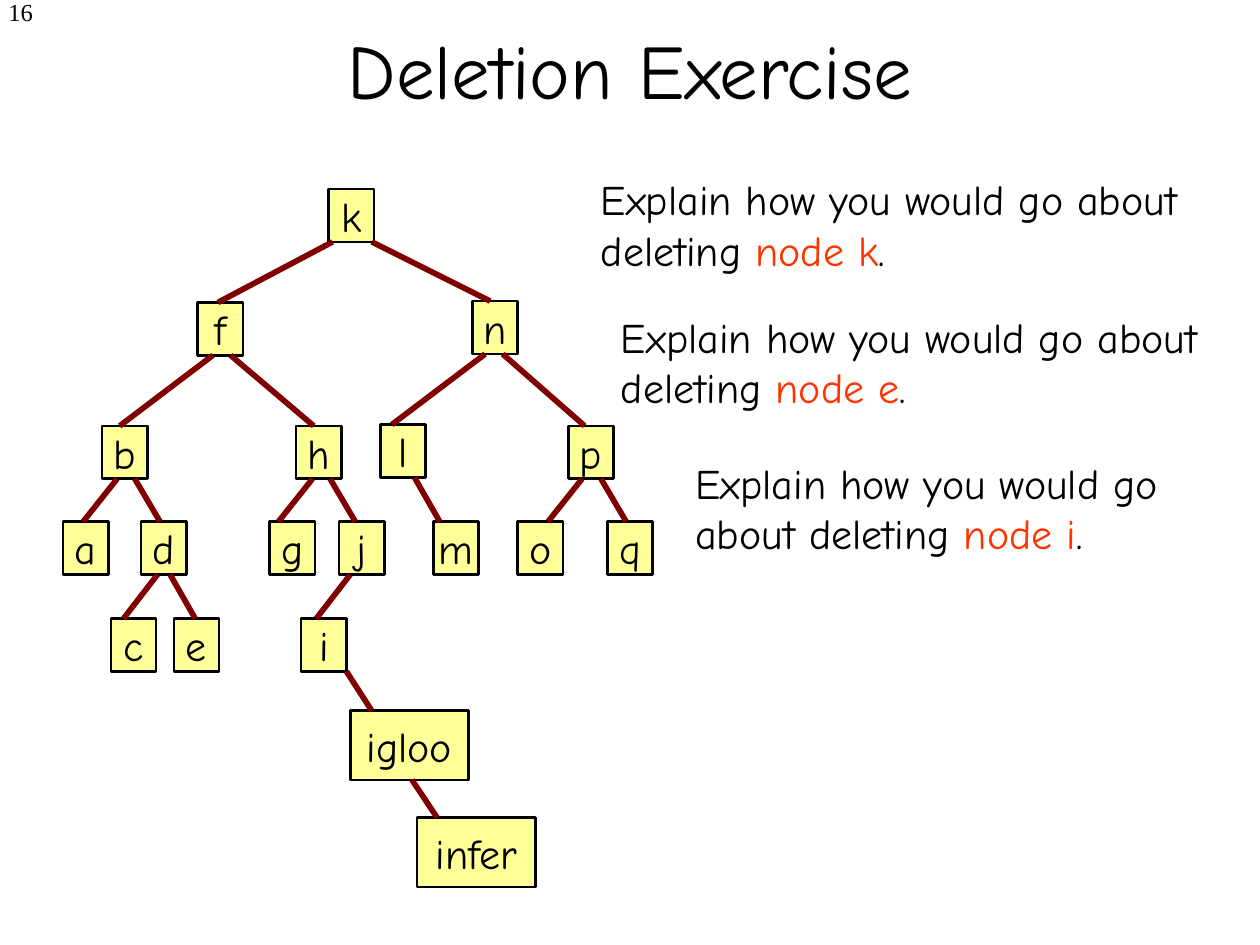
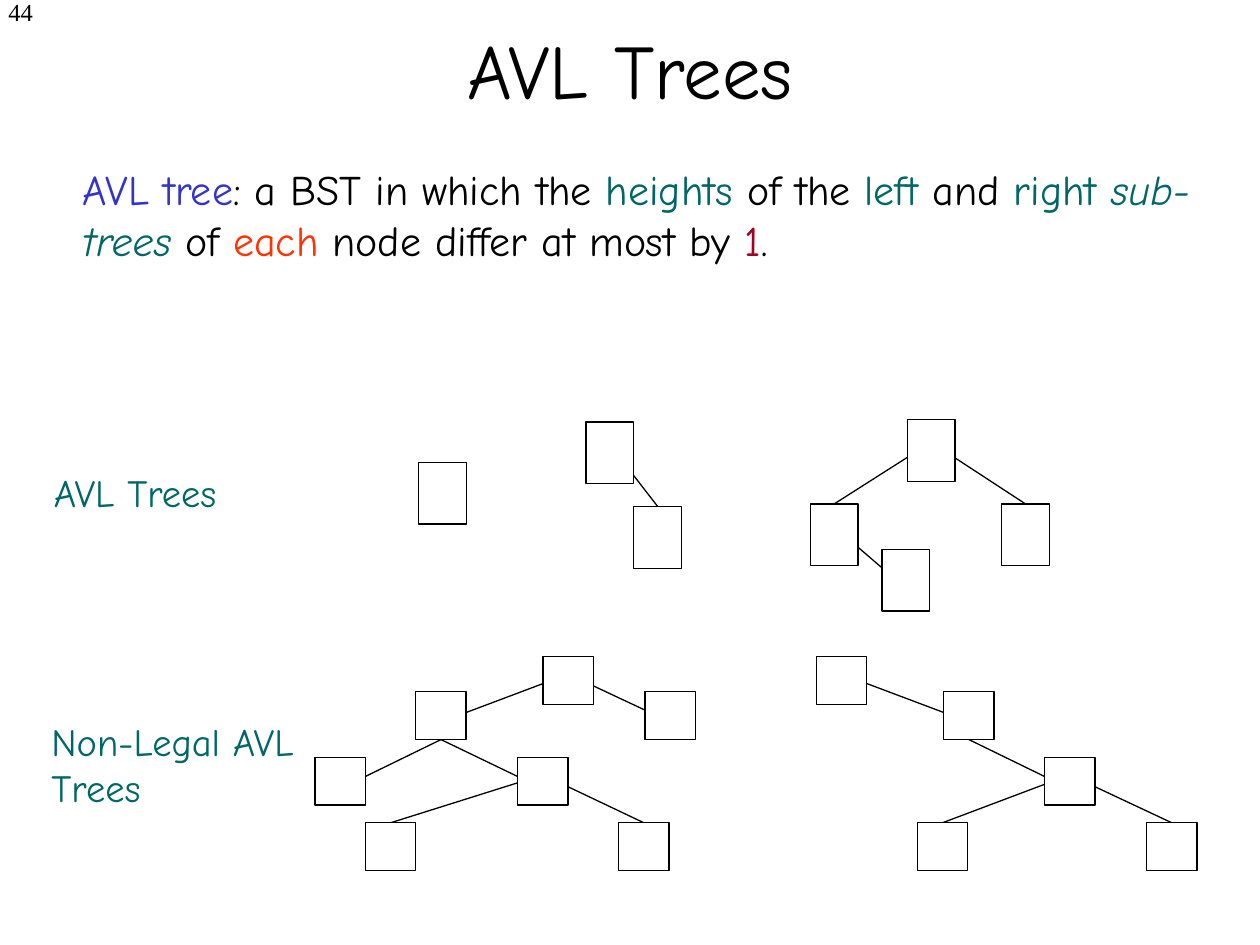
from lxml.etree import SubElement
from pptx import Presentation
from pptx.dml.color import RGBColor
from pptx.enum.shapes import MSO_CONNECTOR, MSO_SHAPE
from pptx.enum.text import MSO_ANCHOR, MSO_AUTO_SIZE, PP_ALIGN
from pptx.oxml.ns import qn
from pptx.util import Inches, Pt

COLORS = {
    "black": "000000", "white": "FFFFFF", "yellow": "FFFF99", "maroon": "800000",
    "orange": "FF3300", "blue": "3333CC", "teal": "006666", "crimson": "A50021",
}
COLORS = {name: RGBColor.from_string(value) for name, value in COLORS.items()}
FONT = "Comic Neue"
NUMBER_FONT = "Times New Roman"


def add_box(shapes, place, fill, weight, label=""):
    box = shapes.add_shape(MSO_SHAPE.RECTANGLE, *map(Inches, place))
    box.shadow.inherit = False
    box.fill.solid()
    box.fill.fore_color.rgb = COLORS[fill]
    box.line.color.rgb = COLORS["black"]
    box.line.width = Pt(weight)
    if label:
        frame = box.text_frame
        frame.text = label
        frame.word_wrap = False
        frame.vertical_anchor = MSO_ANCHOR.MIDDLE
        para = frame.paragraphs[0]
        para.alignment = PP_ALIGN.CENTER
        font = para.runs[0].font
        font.name, font.size = FONT, Pt(24)
        font.color.rgb = COLORS["black"]


def add_line(shapes, start, end, color, weight):
    line = shapes.add_connector(MSO_CONNECTOR.STRAIGHT, *map(Inches, start + end))
    line.line.color.rgb = COLORS[color]
    line.line.width = Pt(weight)
    SubElement(line._element.spPr, qn("a:effectLst"))


deck = Presentation()
deck.slide_width, deck.slide_height = Inches(10), Inches(7.5)

# Pages with their titles
pages = []
for title_text in ("Deletion Exercise", "AVL Trees"):
    page = deck.slides.add_slide(deck.slide_layouts[5])
    pages.append(page)
    title = page.shapes.title
    title.left, title.top = Inches(0.75), Inches(-0.08)
    title.width, title.height = Inches(8.5), Inches(1.25)
    frame = title.text_frame
    frame.text = title_text
    frame.auto_size = MSO_AUTO_SIZE.NONE
    frame.vertical_anchor = MSO_ANCHOR.MIDDLE
    frame.paragraphs[0].alignment = PP_ALIGN.CENTER
    font = frame.paragraphs[0].runs[0].font
    font.name, font.size = FONT, Pt(44)
    font.color.rgb = COLORS["black"]
exercise, avl = pages

# Search tree of the exercise: left and top of each node
letter_size, word_size = (0.36, 0.42), (0.94, 0.55)
nodes = {
    "k": (2.61, 1.5),
    "f": (1.57, 2.4), "n": (3.75, 2.39),
    "b": (0.81, 3.38), "h": (2.35, 3.38), "l": (3.02, 3.37), "p": (4.51, 3.38),
    "a": (0.5, 4.14), "d": (1.12, 4.14), "g": (2.14, 4.14), "j": (2.69, 4.14),
    "m": (3.44, 4.14), "o": (4.11, 4.14), "q": (4.82, 4.14),
    "c": (0.88, 4.91), "e": (1.38, 4.91), "i": (2.39, 4.91),
    "igloo": (2.78, 5.64), "infer": (3.31, 6.49),
}
places = {}
for label, corner in nodes.items():
    places[label] = corner + (letter_size if len(label) == 1 else word_size)
    add_box(exercise.shapes, places[label], "yellow", 1.5, label)

# Parent, child, and how far each line end lies from the node's middle
branches = [
    ("k", "f", -0.15, -0.02), ("k", "n", 0.16, -0.04),
    ("f", "b", -0.06, -0.04), ("f", "h", 0.08, -0.04),
    ("b", "a", -0.06, -0.02), ("b", "d", 0.08, -0.03),
    ("d", "c", -0.05, -0.08), ("d", "e", 0.05, -0.01),
    ("h", "g", -0.05, -0.11), ("h", "j", 0.09, -0.05),
    ("j", "i", -0.09, -0.06),
    ("n", "l", -0.08, -0.09), ("n", "p", 0.06, -0.05),
    ("l", "m", 0.09, -0.13),
    ("p", "o", -0.07, 0.06), ("p", "q", 0.08, -0.03),
    ("i", "igloo", 0.18, -0.3), ("igloo", "infer", 0.02, -0.31),
]
for parent, child, start_shift, end_shift in branches:
    left, top, width, height = places[parent]
    child_left, child_top, child_width, _ = places[child]
    start = (left + width / 2 + start_shift, top + height)
    end = (child_left + child_width / 2 + end_shift, child_top)
    add_line(exercise.shapes, start, end, "maroon", 3.25)

# AVL examples: node size, node corners, and branches as
# parent, child, line start below parent top, line end below child top
tall, square = (0.38, 0.49), (0.4, 0.38)
examples = [
    (tall, [(3.32, 3.67)], []),
    (tall, [(4.65, 3.35), (5.03, 4.02)], [(0, 1, 0.18, 0)]),
    (tall, [(7.2, 3.33), (6.43, 4), (7.95, 4), (7, 4.36)],
     [(0, 1, 0.18, 0), (0, 2, 0.18, 0), (1, 3, 0.18, 0.31)]),
    (square, [(4.31, 5.21), (3.3, 5.49), (5.12, 5.49), (2.5, 6.01),
              (4.11, 6.01), (2.9, 6.53), (4.91, 6.53)],
     [(0, 1, 0.14, 0.24), (0, 2, 0.14, 0.24), (1, 3, 0.38, 0.25),
      (1, 4, 0.38, 0.25), (4, 5, 0.14, 0), (4, 6, 0.14, 0)]),
    (square, [(6.48, 5.21), (7.49, 5.49), (8.29, 6.01), (7.28, 6.53), (9.1, 6.53)],
     [(0, 1, 0.14, 0.24), (1, 2, 0.38, 0.25), (2, 3, 0.14, 0), (2, 4, 0.14, 0)]),
]
for size, corners, links in examples:
    group = avl.shapes.add_group_shape()
    for parent, child, start_drop, end_drop in links:
        start, end = [
            (corners[node][0] + size[0] / 2, corners[node][1] + drop)
            for node, drop in ((parent, start_drop), (child, end_drop))
        ]
        add_line(group.shapes, start, end, "black", 0.75)
    for corner in corners:
        add_box(group.shapes, corner + size, "white", 0.75)

# Texts: page, place, font size, runs of text and colour
definition = [
    ("AVL tree", "blue"), (": a BST in which the ", "black"), ("heights", "teal"),
    (" of the ", "black"), ("left", "teal"), (" and ", "black"), ("right ", "teal"),
    ("sub-trees", "teal"), (" of ", "black"), ("each", "orange"),
    (" node differ at most by ", "black"), ("1", "crimson"), (".", "black"),
]
texts = [
    (avl, (0.56, 1.25, 9.06, 0.9), 24, definition),
    (avl, (0.33, 3.67, 2.05, 0.47), 22, [("AVL Trees", "teal")]),
    (avl, (0.31, 5.65, 2.19, 0.83), 22, [("Non-Legal AVL Trees", "teal")]),
]
questions = {
    "k": (4.67, 1.33, 5.3, 0.91),
    "e": (4.83, 2.42, 5.17, 0.91),
    "i": (5.42, 3.58, 4.25, 0.91),
}
for label, place in questions.items():
    question = [("Explain how you would go about deleting ", "black"),
                (f"node {label}", "orange"), (".", "black")]
    texts.append((exercise, place, 24, question))
for page, number in ((exercise, "16"), (avl, "44")):
    texts.append((page, (0, -0.07, 0.36, 0.5), 14, [(number, "black")]))

for page, place, size, runs in texts:
    frame = page.shapes.add_textbox(*map(Inches, place)).text_frame
    frame.word_wrap = True
    para = frame.paragraphs[0]
    is_number = size == 14
    if is_number:
        frame.margin_left = 0
        para.alignment = PP_ALIGN.RIGHT
    for text, color in runs:
        span = para.add_run()
        span.text = text
        span.font.name = NUMBER_FONT if is_number else FONT
        span.font.size = Pt(size)
        span.font.italic = text == "sub-trees"
        span.font.color.rgb = COLORS[color]

deck.save("out.pptx")
